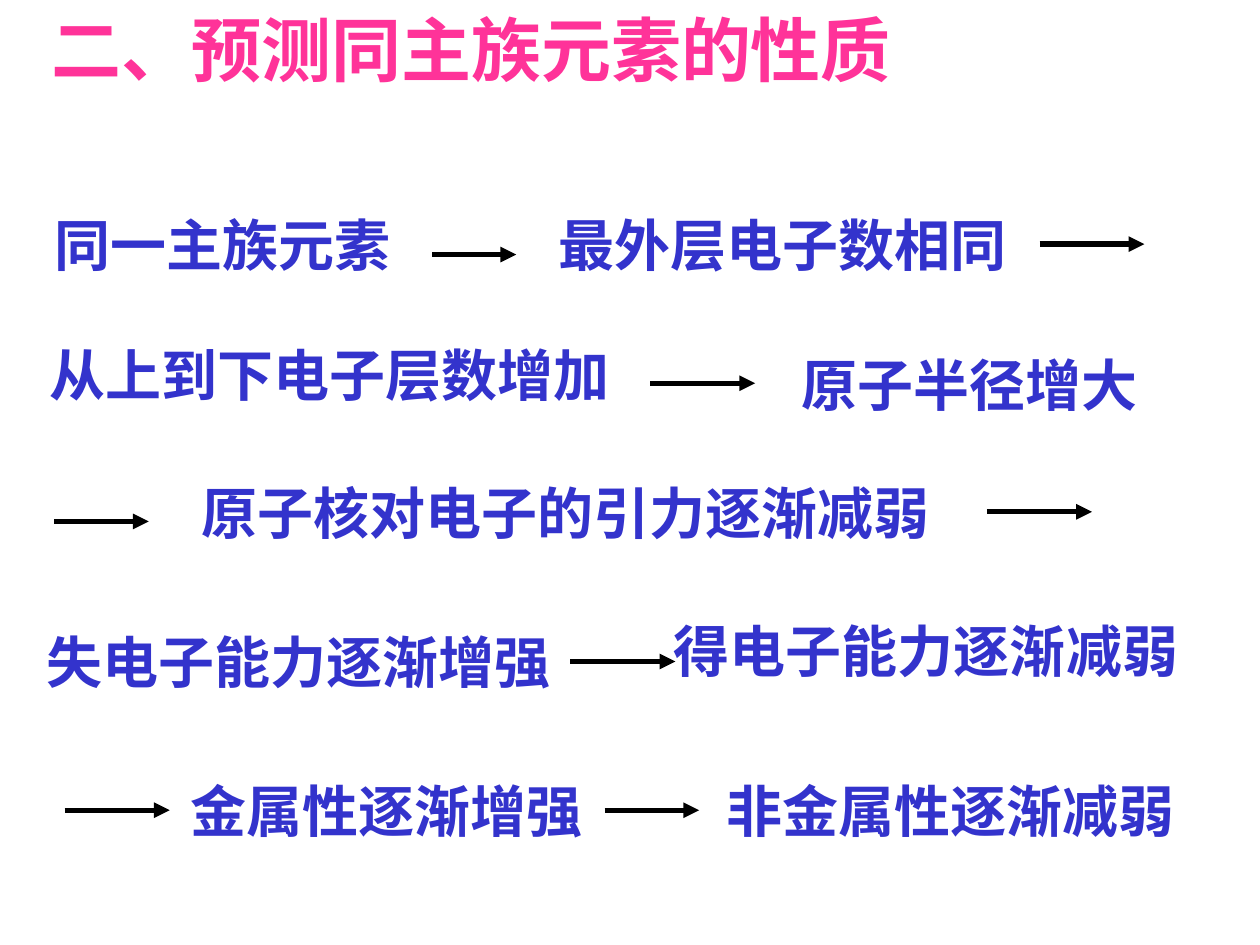
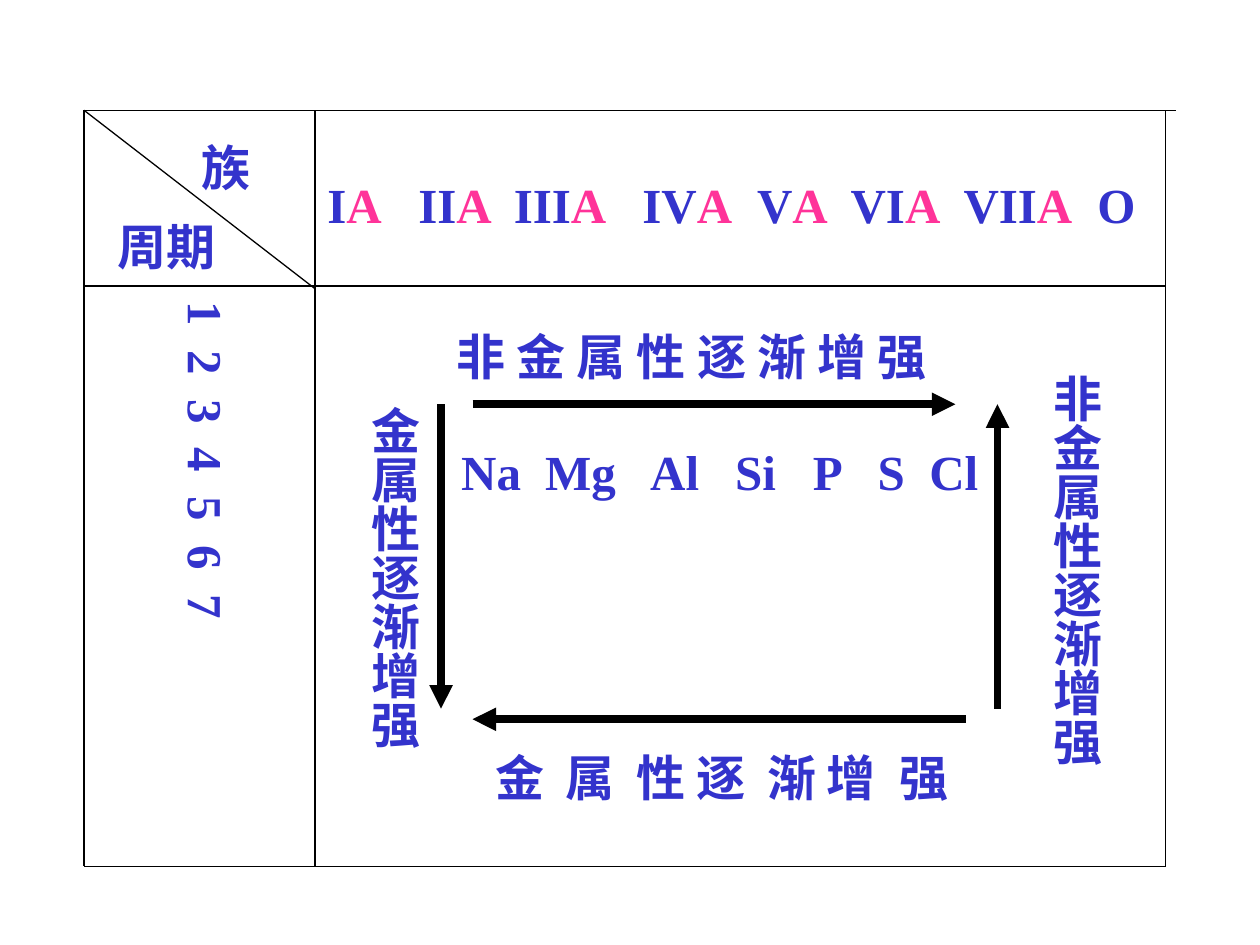
from pptx import Presentation
from pptx.dml.color import RGBColor
from pptx.enum.shapes import MSO_CONNECTOR
from pptx.enum.text import MSO_ANCHOR, PP_ALIGN
from pptx.oxml.ns import qn
from pptx.util import Pt
from lxml.etree import SubElement

PINK = RGBColor(0xFF, 0x33, 0x99)
BLUE = RGBColor(0x33, 0x33, 0xCC)
BLACK = RGBColor(0, 0, 0)
LATIN = "Times New Roman"
HEADING = "Noto Sans CJK JP"

# Slide 1: statements as (text, left, top, width), arrows as (left, y, length)
TITLE = "二、预测同主族元素的性质"
STATEMENTS = [
    ("同一主族元素", 24, 117, 222),
    ("最外层电子数相同", 312, 117, 282),
    ("从上到下电子层数增加", 21, 191, 353),
    ("原子半径增大", 451, 196.5, 222),
    ("原子核对电子的引力逐渐减弱", 108, 270, 438),
    ("失电子能力逐渐增强", 19.5, 355, 324),
    ("得电子能力逐渐减弱", 378, 349, 318),
    ("金属性逐渐增强", 102, 440, 246),
    ("非金属性逐渐减弱", 408, 440, 292),
]
STEP_ARROWS = [
    (247, 145.5, 48), (594, 139.5, 60), (371.5, 219, 60),
    (31, 298, 54), (564, 292.5, 60), (326, 378, 60),
    (37, 463, 60), (345.5, 463, 54),
]

# Slide 2: the grid, its labels and the trends
LEFT, SPLIT, RIGHT = 48, 180, 666
TOP, HEAD_BOTTOM, BOTTOM = 63, 163.5, 495
GRID_LINES = [
    (LEFT, TOP, RIGHT + 6, TOP), (LEFT, HEAD_BOTTOM, RIGHT, HEAD_BOTTOM),
    (LEFT, BOTTOM, RIGHT, BOTTOM), (LEFT, TOP, LEFT, BOTTOM),
    (SPLIT, TOP, SPLIT, BOTTOM), (RIGHT, TOP, RIGHT, BOTTOM),
    (LEFT, TOP, SPLIT, HEAD_BOTTOM + 1.5),
]
GROUPS = ["I", "II", "III", "IV", "V", "VI", "VII"]
GROUP_TABS = [52, 106.5, 180, 245.5, 299, 363.5, 440]
ELEMENTS = ["Na", "Mg", "Al", "Si", "P", "S", "Cl"]
ELEMENT_TABS = [48, 108, 156.5, 201, 238, 267.5]
METAL_TREND = "金属性逐渐增强"
NONMETAL_TREND = "非" + METAL_TREND
METAL_TABS = [40, 80.5, 115, 155.5, 189.5, 231]
PERIODS = "1 2 3 4 5 6 7"
TREND_ARROWS = [
    (270, 231, 546, 231), (552, 411, 270, 411),
    (570, 405, 570, 231), (252, 231, 252, 405),
]


def add_text(page, runs, left, top, width, height=41, size=28, font=LATIN, tabs=()):
    """Add a bold text box; runs is a list of (text, colour)."""
    box = page.shapes.add_textbox(Pt(left), Pt(top), Pt(width), Pt(height))
    box.text_frame.word_wrap = True
    para = box.text_frame.paragraphs[0]
    para.font.name, para.font.size, para.font.bold = font, Pt(size), True
    for text, colour in runs:
        span = para.add_run()
        span.text = text
        span.font.color.rgb = colour
    if tabs:
        properties = para._p.get_or_add_pPr()
        stops = properties.makeelement(qn("a:tabLst"), {})
        for position in tabs:
            SubElement(stops, qn("a:tab"), pos=str(int(Pt(position))), algn="l")
        properties.find(qn("a:defRPr")).addprevious(stops)
    return box


def add_vertical_text(page, text, left, top, height):
    box = add_text(page, [(text, BLUE)], left, top, 47.5, height)
    frame = box.text_frame
    frame._txBody.bodyPr.set("vert", "eaVert")
    frame.margin_left = frame.margin_right = Pt(3.6)
    frame.margin_top = frame.margin_bottom = Pt(7.2)
    frame.vertical_anchor = MSO_ANCHOR.TOP
    frame.paragraphs[0].alignment = PP_ALIGN.CENTER
    return box


def add_line(page, x1, y1, x2, y2, weight=0.75, arrow=False):
    line = page.shapes.add_connector(
        MSO_CONNECTOR.STRAIGHT, Pt(x1), Pt(y1), Pt(x2), Pt(y2))
    line.line.color.rgb = BLACK
    line.line.width = Pt(weight)
    if arrow:
        SubElement(line.line._get_or_add_ln(), qn("a:tailEnd"), type="triangle")
    SubElement(line._element.spPr, qn("a:effectLst"))


def build_reasoning(page):
    add_text(page, [(TITLE, PINK)], 22.5, 0, 562, 55.5, 40, HEADING)
    for text, left, top, width in STATEMENTS:
        add_text(page, [(text, BLUE)], left, top, width, 46, 32)
    for left, y, length in STEP_ARROWS:
        add_line(page, left, y, left + length, y, 3, True)


def build_periodic_trends(page):
    # Grid with its split corner
    for ends in GRID_LINES:
        add_line(page, *ends)
    add_text(page, [("族", BLUE)], 108, 75, 54)
    add_text(page, [("周期", BLUE)], 60, 120, 72)

    # Group and period headings
    headings = []
    for numeral in GROUPS:
        headings += [(numeral, BLUE), ("A\t", PINK)]
    headings.append(("O", BLUE))
    add_text(page, headings, SPLIT, 96, RIGHT - SPLIT, tabs=GROUP_TABS)
    periods = add_vertical_text(page, PERIODS, 91.5, 165, 324)
    for span in periods.text_frame.paragraphs[0].runs:
        span.font._element.set("spc", "350")

    # Elements framed by the trends
    add_text(page, [("\t".join(ELEMENTS), BLUE)], 256.5, 249, 330, tabs=ELEMENT_TABS)
    add_text(page, [(" ".join(NONMETAL_TREND), BLUE)], 254, 183, 340)
    add_text(page, [("\t".join(METAL_TREND), BLUE)], 276, 423.5, 318, tabs=METAL_TABS)
    add_vertical_text(page, NONMETAL_TREND, 588, 207, 264)
    add_vertical_text(page, METAL_TREND, 198, 225, 240)
    for ends in TREND_ARROWS:
        add_line(page, *ends, 4.5, True)


def main():
    deck = Presentation()
    deck.slide_width, deck.slide_height = Pt(720), Pt(540)
    for build in (build_reasoning, build_periodic_trends):
        build(deck.slides.add_slide(deck.slide_layouts[6]))
    deck.save("out.pptx")


if __name__ == "__main__":
    main()
